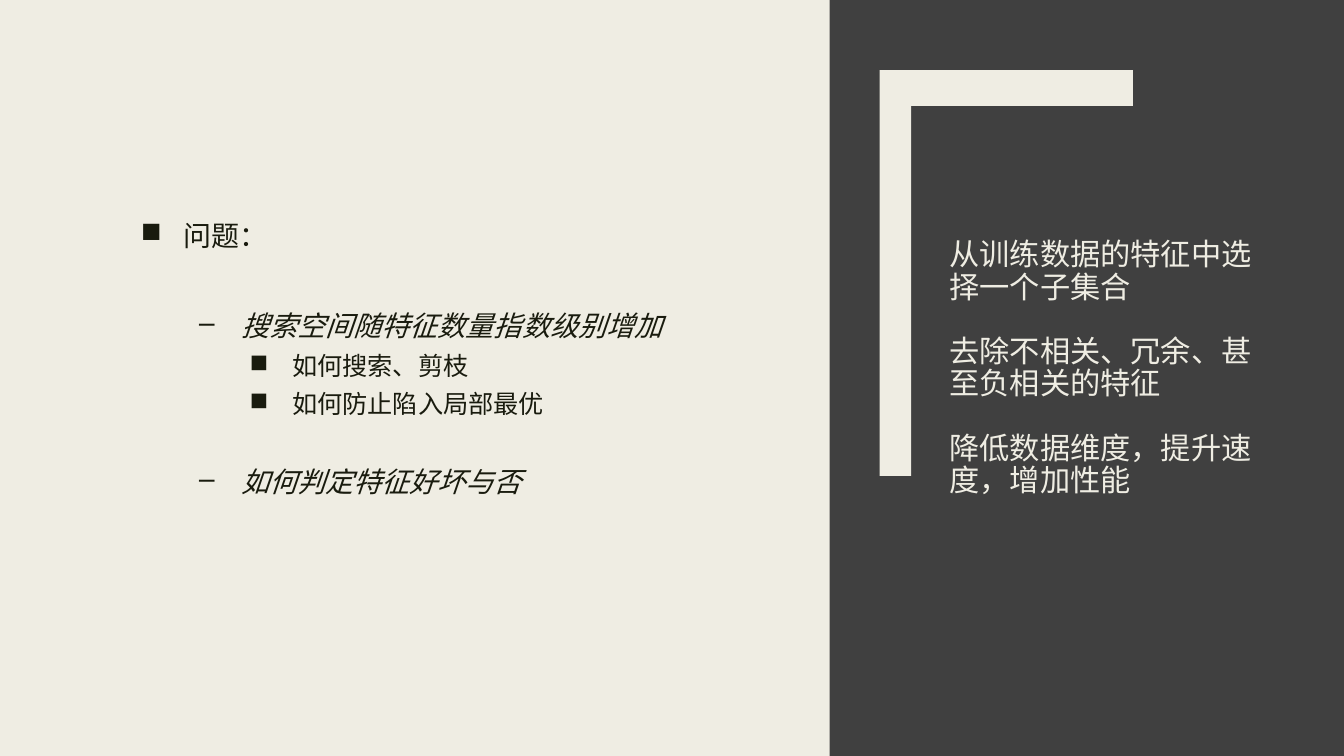
"""Build a slide on feature selection: its problems and its purpose."""
import pptx
import pptx.dml.color
import pptx.enum.shapes
import pptx.enum.text
import pptx.oxml
import pptx.oxml.ns
import pptx.util

Cm = pptx.util.Cm
Pt = pptx.util.Pt


class FeatureSlide:
    font = "Roboto"
    colors = {"paper": "EFEDE3", "ink": "191B0E", "panel": "404040"}

    def __init__(self, deck):
        self.slide = deck.slides.add_slide(deck.slide_layouts[5])
        self.paint(self.slide.background.fill, "paper")

    def paint(self, fill, color):
        fill.solid()
        fill.fore_color.rgb = self.rgb(color)

    def rgb(self, color):
        return pptx.dml.color.RGBColor.from_string(self.colors[color])

    def finish(self, shape, color):
        shape.shadow.inherit = False
        self.paint(shape.fill, color)
        shape.line.fill.background()

    def panel(self, left, top, width, height, color):
        kind = pptx.enum.shapes.MSO_SHAPE.RECTANGLE
        self.finish(self.slide.shapes.add_shape(
            kind, Cm(left), Cm(top), Cm(width), Cm(height)), color)

    def outline(self, points, color):
        corners = [(Cm(x), Cm(y)) for x, y in points]
        builder = self.slide.shapes.build_freeform(*corners[0])
        builder.add_line_segments(corners[1:])
        self.finish(builder.convert_to_shape(), color)

    def frame(self, shape, margin_top):
        text = shape.text_frame
        text.word_wrap = True
        text.auto_size = pptx.enum.text.MSO_AUTO_SIZE.NONE
        text.vertical_anchor = pptx.enum.text.MSO_ANCHOR.TOP
        text.margin_top = Cm(margin_top)
        return text

    def paragraph(self, text, index, words, size, color, spacing,
                  before, after=0, italic=False):
        line = text.add_paragraph() if index else text.paragraphs[0]
        line.alignment = pptx.enum.text.PP_ALIGN.LEFT
        line.line_spacing = spacing
        line.space_before = Pt(before)
        line.space_after = Pt(after)
        run = line.add_run()
        run.text = words
        run.font.name = self.font
        run.font.size = Pt(size)
        run.font.italic = italic
        run.font.color.rgb = self.rgb(color)
        return line

    def bullet(self, line, level, indent, mark):
        line.level = level
        properties = line._p.get_or_add_pPr()
        properties.set("marL", str(Cm(indent)))
        properties.set("indent", str(-Cm(1.07)))
        char = pptx.oxml.parse_xml(
            f'<a:buChar {pptx.oxml.ns.nsdecls("a")} char="{mark}"/>')
        properties.append(char)

    def title(self, left, top, width, height, goals):
        heading = self.slide.shapes.title
        heading.left, heading.top = Cm(left), Cm(top)
        heading.width, heading.height = Cm(width), Cm(height)
        self.slide.shapes._spTree.append(heading._element)
        text = self.frame(heading, 2.57)
        for index, goal in enumerate(goals):
            self.paragraph(text, index, goal, 21.6, "paper", 0.89,
                           23 if index else 0)

    def outline_list(self, left, top, width, height, problems):
        styles = [(1.07, "■", 20, False), (2.54, "–", 20, True),
                  (3.81, "■", 18, False)]
        box = self.slide.shapes.add_textbox(
            Cm(left), Cm(top), Cm(width), Cm(height))
        text = self.frame(box, 2.27)
        for index, (level, before, words) in enumerate(problems):
            indent, mark, size, italic = styles[level]
            line = self.paragraph(text, index, words, size, "ink", 0.94,
                                  before, 2, italic)
            self.bullet(line, level, indent, mark)


deck = pptx.Presentation()
deck.slide_width, deck.slide_height = Cm(33.87), Cm(19.05)

page = FeatureSlide(deck)
page.outline_list(3.3, 3.3, 14.91, 12.45, [
    (0, 0, "问题："),
    (1, 40, "搜索空间随特征数量指数级别增加"),
    (2, 5, "如何搜索、剪枝"),
    (2, 5, "如何防止陷入局部最优"),
    (1, 32, "如何判定特征好坏与否"),
])
page.panel(20.91, 0, 12.96, 19.05, "panel")
page.outline([(22.17, 1.77), (28.55, 1.77), (28.55, 2.67),
              (22.96, 2.67), (22.96, 11.99), (22.17, 11.99)], "paper")
page.title(23.67, 3.48, 8.71, 11.96, [
    "从训练数据的特征中选择一个子集合",
    "去除不相关、冗余、甚至负相关的特征",
    "降低数据维度，提升速度，增加性能",
])
deck.save("out.pptx")
